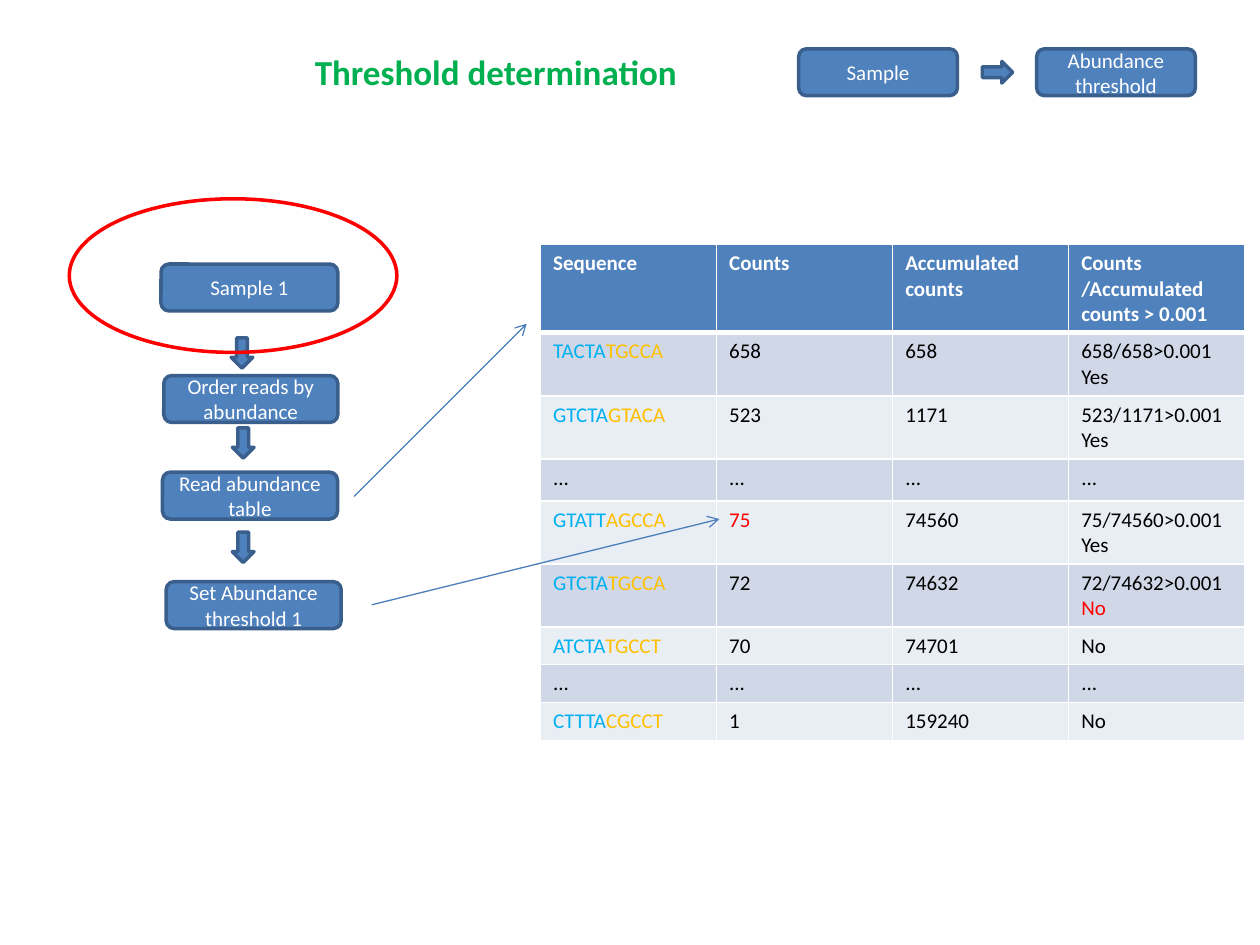
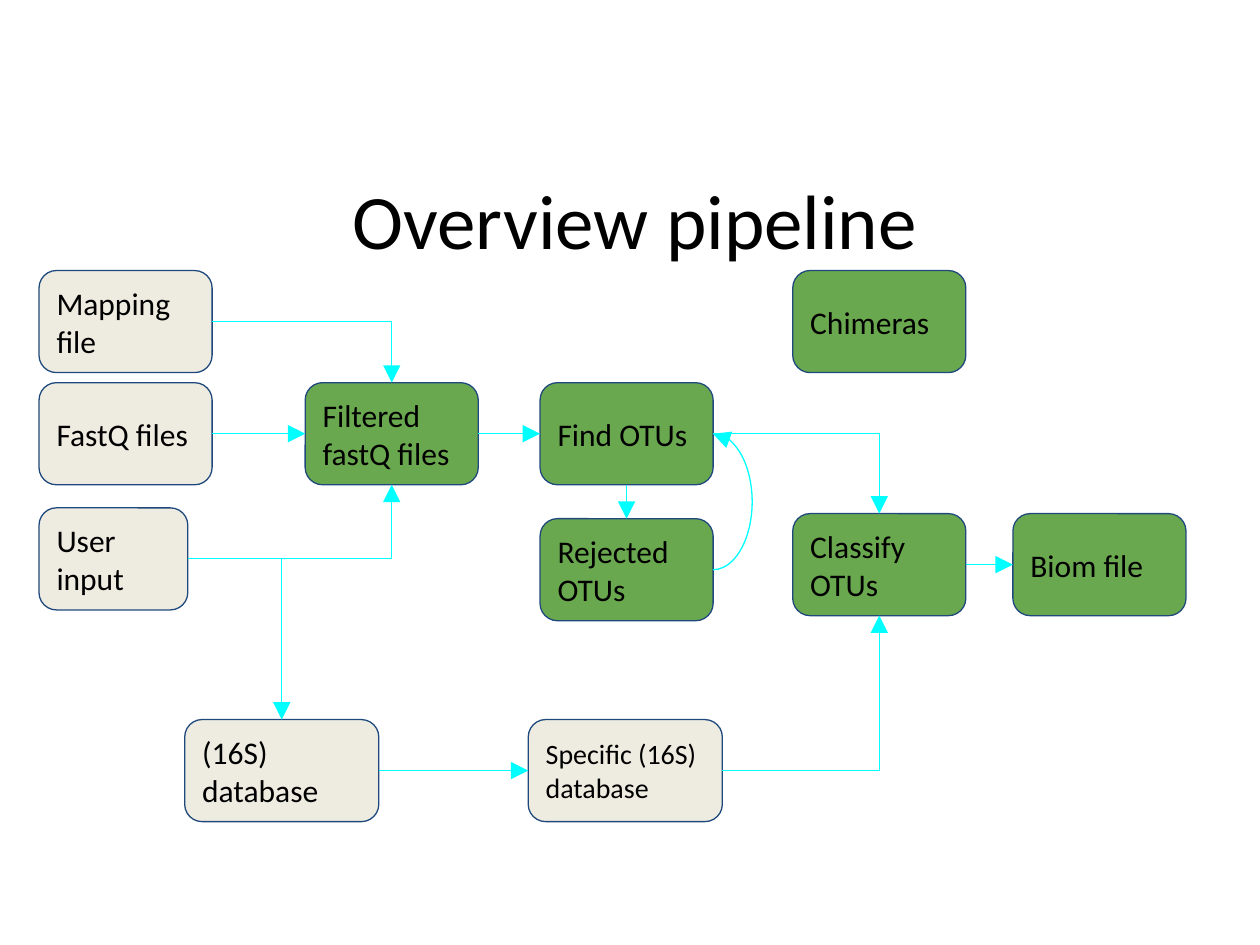
"""Build two slides: threshold determination and the pipeline overview."""
from dataclasses import dataclass
from typing import Any, NamedTuple

from lxml import etree
from pptx import Presentation
from pptx.dml.color import RGBColor
from pptx.enum.shapes import MSO_CONNECTOR, MSO_SHAPE
from pptx.enum.text import MSO_ANCHOR, PP_ALIGN
from pptx.oxml.ns import qn
from pptx.util import Pt

ROUND_RECTANGLE, RIGHT_ARROW, OVAL, ARC = (
    MSO_SHAPE.ROUNDED_RECTANGLE, MSO_SHAPE.RIGHT_ARROW, MSO_SHAPE.OVAL, MSO_SHAPE.ARC)
STRAIGHT, ELBOW = MSO_CONNECTOR.STRAIGHT, MSO_CONNECTOR.ELBOW
LEFT, CENTER = PP_ALIGN.LEFT, PP_ALIGN.CENTER
TOP_ANCHOR, MIDDLE_ANCHOR = MSO_ANCHOR.TOP, MSO_ANCHOR.MIDDLE
TOP, LEFT_SIDE, BOTTOM, RIGHT = range(4)


@dataclass(frozen=True)
class Theme:
    """Colours, font, type sizes and line widths of both slides."""
    font: str = "Calibri"
    black: str = "000000"
    white: str = "FFFFFF"
    red: str = "FF0000"
    green: str = "00B050"
    blue: str = "4F81BD"
    blue_edge: str = "3A5F8C"
    blue_line: str = "4B7EBC"
    band_dark: str = "D0D8E8"
    band_light: str = "E9EDF4"
    barcode_first: str = "00B0F0"
    barcode_second: str = "FFC000"
    input_fill: str = "EEECE1"
    step_fill: str = "6AA84F"
    navy: str = "1F497D"
    cyan: str = "00FFFF"
    small: float = 12
    database: float = 16
    body: float = 18
    heading: float = 20
    title: float = 44
    thin: float = 0.75
    thick: float = 2


THEME = Theme()


class Frame(NamedTuple):
    """Left, top, width and height in points."""
    left: float
    top: float
    width: float
    height: float


class Span(NamedTuple):
    """A run of text in one colour."""
    text: str
    color: str = THEME.black


@dataclass(frozen=True)
class TextStyle:
    """How a piece of text is set."""
    size: float
    color: str = THEME.black
    bold: bool = False
    alignment: Any = LEFT
    anchor: Any = MIDDLE_ANCHOR
    inset: float | None = None


@dataclass(frozen=True)
class Look:
    """Fill, outline and adjustments of a shape."""
    fill: str | None
    line: str
    width: float
    adjustments: tuple[float, ...] = ()


class PipelineBox(NamedTuple):
    """A box of the pipeline."""
    text: str
    left: float
    top: float
    width: float
    fill: str
    size: float = THEME.body


class Flow(NamedTuple):
    """An arrow between the sides of two pipeline boxes."""
    begin: str
    end: str
    begin_side: int = RIGHT
    end_side: int = LEFT_SIDE
    kind: Any = STRAIGHT


BLUE = Look(THEME.blue, THEME.blue_edge, THEME.thick)
RING = Look(None, THEME.red, THEME.thick)
RETURN_LOOP = Look(None, THEME.cyan, THEME.thin, (162, 54))
LABEL = TextStyle(THEME.small, THEME.white, alignment=CENTER)
HEADING = TextStyle(THEME.heading, THEME.green, bold=True, anchor=TOP_ANCHOR)
TITLE = TextStyle(THEME.title, alignment=CENTER, anchor=TOP_ANCHOR, inset=7.2)
OPEN_HEAD = {"type": "arrow"}
LARGE_HEAD = {"type": "triangle", "w": "lg", "len": "lg"}

STEP_HEIGHT = 26.8
THRESHOLD_STEPS = (
    ("Abundance threshold", Frame(592.4, 27.9, 90.7, STEP_HEIGHT)),
    ("Sample", Frame(456.4, 27.9, 90.7, STEP_HEIGHT)),
    ("Order reads by abundance", Frame(93.6, 214.6, 99.4, STEP_HEIGHT)),
    ("Read abundance table", Frame(92.9, 269.8, 100, STEP_HEIGHT)),
    ("Sample 1", Frame(92, 150.9, 101, STEP_HEIGHT)),
    ("Set Abundance threshold 1", Frame(95, 332.4, 100, STEP_HEIGHT)),
)
STEP_ARROWS = ((561.4, 35.1, 0), (129.6, 195.6, 90), (130.3, 247, 90), (130.3, 306.6, 90))

TABLE_FRAME = Frame(308.9, 139.7, 402.5, 283)
ROW_HEIGHTS = (50, 35.8, 35.8, 24, 35.8, 35.8, 21.6, 21.6, 21.6)
HEADERS = ("Sequence", "Counts", "Accumulated counts", "Counts /Accumulated counts > 0.001")
READS = (
    ("TACTATGCCA", "658", "658", "658/658>0.001\nYes"),
    ("GTCTAGTACA", "523", "1171", "523/1171>0.001\nYes"),
    ("...",) * 4,
    ("GTATTAGCCA", "75", "74560", "75/74560>0.001\nYes"),
    ("GTCTATGCCA", "72", "74632", "72/74632>0.001\nNo"),
    ("ATCTATGCCT", "70", "74701", "No"),
    ("...",) * 4,
    ("CTTTACGCCT", "1", "159240", "No"),
)
THRESHOLD_COUNT = "75"
BARCODE_LENGTH = 5

BOX_WIDTH, BOX_HEIGHT, DATABASE_WIDTH = 98.9, 58.3, 110.9
INPUT_X, FILTER_X, FIND_X, CLASSIFY_X, BIOM_X = 22.3, 174.4, 308.6, 453, 578.8
UPPER_Y, MAIN_Y, USER_Y, CLASSIFY_Y, REJECT_Y, DATABASE_Y = 154.6, 218.7, 290.2, 293.5, 296.4, 411.2
LOOP_REACH = 22.4
PIPELINE = (
    PipelineBox("(16S) database", 105.6, DATABASE_Y, DATABASE_WIDTH, THEME.input_fill),
    PipelineBox("FastQ files", INPUT_X, MAIN_Y, BOX_WIDTH, THEME.input_fill),
    PipelineBox("Mapping file", INPUT_X, UPPER_Y, BOX_WIDTH, THEME.input_fill),
    PipelineBox("User input", INPUT_X, USER_Y, 85, THEME.input_fill),
    PipelineBox("Specific (16S) database", 301.9, DATABASE_Y, DATABASE_WIDTH,
                THEME.input_fill, THEME.database),
    PipelineBox("Filtered fastQ files", FILTER_X, MAIN_Y, BOX_WIDTH, THEME.step_fill),
    PipelineBox("Find OTUs", FIND_X, MAIN_Y, BOX_WIDTH, THEME.step_fill),
    PipelineBox("Rejected OTUs", FIND_X, REJECT_Y, BOX_WIDTH, THEME.step_fill),
    PipelineBox("Classify OTUs", CLASSIFY_X, CLASSIFY_Y, BOX_WIDTH, THEME.step_fill),
    PipelineBox("Biom file", BIOM_X, CLASSIFY_Y, BOX_WIDTH, THEME.step_fill),
    PipelineBox("Chimeras", CLASSIFY_X, UPPER_Y, BOX_WIDTH, THEME.step_fill),
)
FLOWS = (
    Flow("User input", "(16S) database", end_side=TOP, kind=ELBOW),
    Flow("FastQ files", "Filtered fastQ files"),
    Flow("User input", "Filtered fastQ files", end_side=BOTTOM, kind=ELBOW),
    Flow("Mapping file", "Filtered fastQ files", end_side=TOP, kind=ELBOW),
    Flow("Find OTUs", "Rejected OTUs", BOTTOM, TOP),
    Flow("Filtered fastQ files", "Find OTUs"),
    Flow("(16S) database", "Specific (16S) database"),
    Flow("Specific (16S) database", "Classify OTUs", end_side=BOTTOM, kind=ELBOW),
    Flow("Find OTUs", "Classify OTUs", end_side=TOP, kind=ELBOW),
    Flow("Classify OTUs", "Biom file"),
)


def rgb(color: str) -> RGBColor:
    """Turn a hex code into a colour."""
    return RGBColor.from_string(color)


def apply_format(target: Any, values: dict[str, Any]) -> None:
    """Set every named attribute on the target."""
    for name, value in values.items():
        setattr(target, name, value)


def write_spans(paragraph: Any, spans: list[Span], style: TextStyle) -> None:
    """Fill a paragraph with coloured runs."""
    paragraph.alignment = style.alignment
    for span in spans:
        run = paragraph.add_run()
        run.text = span.text
        apply_format(run.font, {"name": THEME.font, "size": Pt(style.size), "bold": style.bold})
        run.font.color.rgb = rgb(span.color)


def write_text(shape: Any, text: str, style: TextStyle) -> None:
    """Write one paragraph into a shape."""
    values = {"word_wrap": True, "vertical_anchor": style.anchor}
    if style.inset is not None:
        values |= {f"margin_{side}": Pt(style.inset) for side in ("left", "top", "right", "bottom")}
    apply_format(shape.text_frame, values)
    write_spans(shape.text_frame.paragraphs[0], [Span(text, style.color)], style)


def add_text(slide: Any, text: str, frame: Frame, style: TextStyle) -> None:
    """Add a text box."""
    write_text(slide.shapes.add_textbox(*map(Pt, frame)), text, style)


def add_shape(slide: Any, preset: Any, frame: Frame, look: Look) -> Any:
    """Add a preset shape without a shadow."""
    shape = slide.shapes.add_shape(preset, *map(Pt, frame))
    shape.shadow.inherit = False
    if look.fill:
        shape.fill.solid()
        shape.fill.fore_color.rgb = rgb(look.fill)
    else:
        shape.fill.background()
    shape.line.color.rgb = rgb(look.line)
    shape.line.width = Pt(look.width)
    for index, value in enumerate(look.adjustments):
        shape.adjustments[index] = value
    return shape


def add_arrowhead(shape: Any, end: str, head: dict[str, str]) -> None:
    """Put an arrowhead on one end of an outline."""
    etree.SubElement(shape.element.spPr.find(qn("a:ln")), qn(f"a:{end}"), head)


def add_arrow(slide: Any, kind: Any, points: tuple[float, ...], color: str,
              head: dict[str, str]) -> Any:
    """Add a connector with an arrowhead at its end."""
    connector = slide.shapes.add_connector(kind, *map(Pt, points))
    connector.line.color.rgb = rgb(color)
    connector.line.width = Pt(THEME.thin)
    add_arrowhead(connector, "tailEnd", head)
    etree.SubElement(connector.element.spPr, qn("a:effectLst"))
    return connector


def add_flow(slide: Any, flow: Flow, boxes: dict[str, Any]) -> None:
    """Join two pipeline boxes with an arrow."""
    connector = add_arrow(slide, flow.kind, (0, 0, 0, 0), THEME.cyan, LARGE_HEAD)
    connector.begin_connect(boxes[flow.begin], flow.begin_side)
    connector.end_connect(boxes[flow.end], flow.end_side)
    if flow.kind == ELBOW:
        connector.element.spPr.find(qn("a:prstGeom")).set("prst", "bentConnector2")


def cell_lines(text: str, row: int, column: int) -> list[list[Span]]:
    """Split a cell's text into lines of coloured spans."""
    if row == 0:
        return [[Span(text, THEME.white)]]
    if column == 0 and len(text) > BARCODE_LENGTH:
        return [[Span(text[:BARCODE_LENGTH], THEME.barcode_first),
                 Span(text[BARCODE_LENGTH:], THEME.barcode_second)]]
    lines = text.split("\n")
    return [[Span(line, THEME.red if text == THRESHOLD_COUNT or (index and line == "No")
                  else THEME.black)] for index, line in enumerate(lines)]


def format_cell(cell: Any, row: int) -> None:
    """Give a cell its white borders and band fill."""
    properties = cell._tc.get_or_add_tcPr()
    for side in "LRTB":
        heavy = (row == 0 and side == "B") or (row == 1 and side == "T")
        border = etree.SubElement(properties, qn(f"a:ln{side}"), w=str(Pt(3 if heavy else 1)))
        fill = etree.SubElement(border, qn("a:solidFill"))
        etree.SubElement(fill, qn("a:srgbClr"), val=THEME.white)
    cell.fill.solid()
    band = THEME.band_dark if row % 2 else THEME.band_light
    cell.fill.fore_color.rgb = rgb(band if row else THEME.blue)


def add_read_table(slide: Any) -> None:
    """Add the read abundance table."""
    rows = (HEADERS, *READS)
    table = slide.shapes.add_table(len(rows), len(HEADERS), *map(Pt, TABLE_FRAME)).table
    table.horz_banding = False
    for column in table.columns:
        column.width = Pt(TABLE_FRAME.width / len(HEADERS))
    for row, (values, height) in enumerate(zip(rows, ROW_HEIGHTS)):
        table.rows[row].height = Pt(height)
        style = TextStyle(THEME.small, bold=row == 0)
        for column, text in enumerate(values):
            cell = table.cell(row, column)
            format_cell(cell, row)
            for index, spans in enumerate(cell_lines(text, row, column)):
                frame = cell.text_frame
                paragraph = frame.add_paragraph() if index else frame.paragraphs[0]
                write_spans(paragraph, spans, style)


def build_threshold_slide(slide: Any) -> None:
    """Draw the threshold determination slide."""
    add_text(slide, "Threshold determination", Frame(172.8, 25.2, 257, 31.7), HEADING)
    for text, frame in THRESHOLD_STEPS:
        write_text(add_shape(slide, ROUND_RECTANGLE, frame, BLUE), text, LABEL)
    for left, top, rotation in STEP_ARROWS:
        add_shape(slide, RIGHT_ARROW, Frame(left, top, 17.3, 12.4), BLUE).rotation = rotation
    add_read_table(slide)
    for points in ((202.3, 283.7, 301, 185), (212.4, 345.6, 411.1, 296.6)):
        add_arrow(slide, STRAIGHT, points, THEME.blue_line, OPEN_HEAD)
    add_shape(slide, OVAL, Frame(39.6, 113.6, 187.2, 87.8), RING)


def build_pipeline_slide(slide: Any) -> None:
    """Draw the pipeline overview slide."""
    add_text(slide, "Overview pipeline", Frame(27.4, 91.4, 671, 45.4), TITLE)
    boxes = {}
    for box in PIPELINE:
        frame = Frame(box.left, box.top, box.width, BOX_HEIGHT)
        look = Look(box.fill, THEME.navy, THEME.thin, (0.17,))
        boxes[box.text] = add_shape(slide, ROUND_RECTANGLE, frame, look)
        write_text(boxes[box.text], box.text, TextStyle(box.size, inset=7.2))
    for flow in FLOWS:
        add_flow(slide, flow, boxes)
    loop_frame = Frame(FIND_X + BOX_WIDTH - LOOP_REACH, MAIN_Y + BOX_HEIGHT / 2,
                       2 * LOOP_REACH, REJECT_Y - MAIN_Y)
    add_arrowhead(add_shape(slide, ARC, loop_frame, RETURN_LOOP), "headEnd", LARGE_HEAD)


def main() -> None:
    """Build and save the presentation."""
    presentation = Presentation()
    apply_format(presentation, {"slide_width": Pt(720), "slide_height": Pt(540)})
    for build in (build_threshold_slide, build_pipeline_slide):
        build(presentation.slides.add_slide(presentation.slide_layouts[6]))
    presentation.save("out.pptx")


if __name__ == "__main__":
    main()
